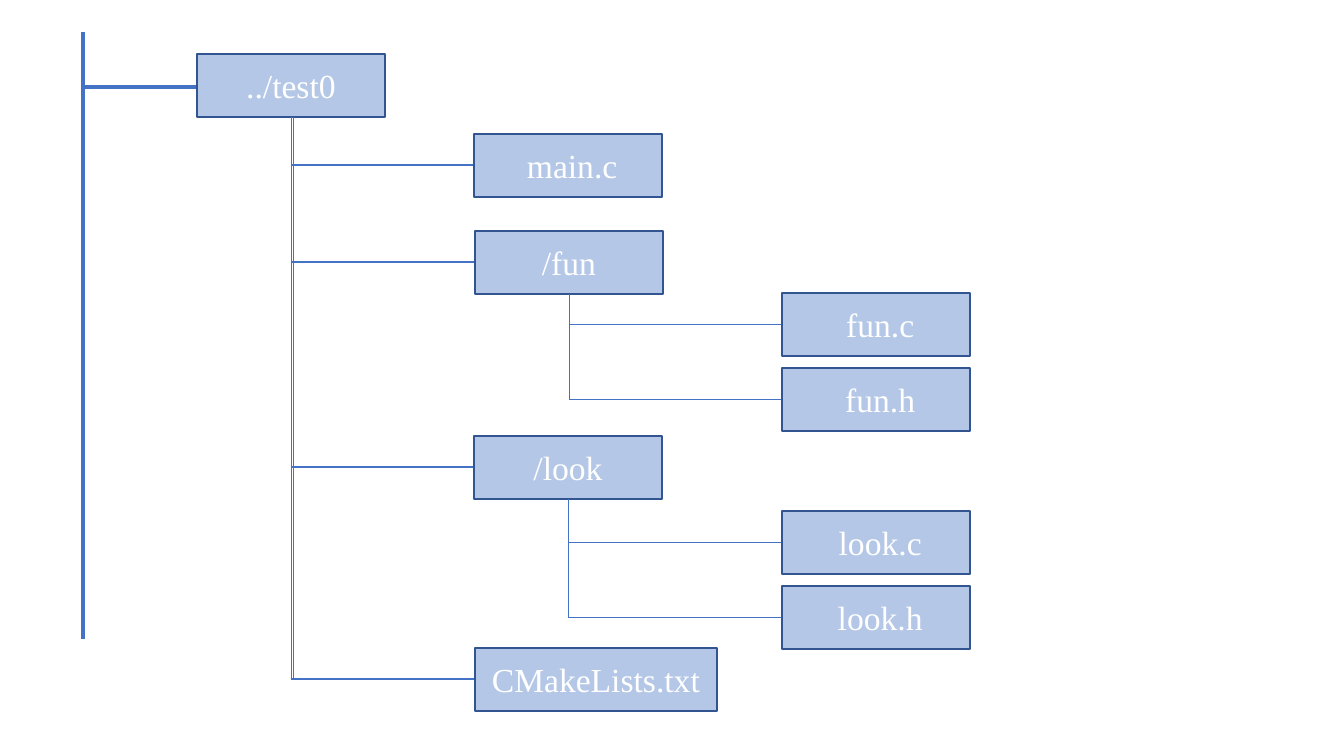
from lxml import etree
from pptx import Presentation
from pptx.dml.color import RGBColor
from pptx.enum.shapes import MSO_CONNECTOR, MSO_SHAPE
from pptx.enum.text import MSO_ANCHOR, PP_ALIGN
from pptx.oxml.ns import qn
from pptx.util import Pt

STRAIGHT = MSO_CONNECTOR.STRAIGHT
RECT = MSO_SHAPE.RECTANGLE
MIDDLE = MSO_ANCHOR.MIDDLE
CENTER = PP_ALIGN.CENTER

BLUE = RGBColor(0x44, 0x72, 0xC4)
PALE_BLUE = RGBColor(0xB4, 0xC7, 0xE7)
DARK_BLUE = RGBColor(0x32, 0x54, 0x91)
WHITE = RGBColor(0xFF, 0xFF, 0xFF)
FONT = "Times New Roman"

EMU_PER_PX = 914400 / 100.8
BOX_W, BOX_H = 188, 63
LEAF_X = 782
ROOT = ("../test0", 197, 54)

# Name, left, top, width and leaves (name, top) of each entry under the root
ENTRIES = [
    (" main.c", 474, 134, BOX_W, []),
    ("/fun", 475, 231, BOX_W, [(" fun.c", 293), (" fun.h", 368)]),
    ("/look", 474, 436, BOX_W, [(" look.c", 511), (" look.h", 586)]),
    ("CMakeLists.txt", 475, 648, 242, []),
]


def px(n):
    return round(n * EMU_PER_PX)


def add_line(slide, x1, y1, x2, y2, width=0.5):
    c = slide.shapes.add_connector(STRAIGHT, px(x1), px(y1), px(x2), px(y2))
    c.line.color.rgb = BLUE
    c.line.width = Pt(width)
    etree.SubElement(c._element.spPr, qn("a:effectLst"))


def write_text(tf, text, size=24, color=WHITE, align=CENTER):
    tf.vertical_anchor = MIDDLE
    tf.word_wrap = True
    p = tf.paragraphs[0]
    p.alignment = align
    r = p.add_run()
    r.text = text
    r.font.name = FONT
    r.font.size = Pt(size)
    r.font.color.rgb = color


def add_box(slide, text, x, y, w=BOX_W):
    sp = slide.shapes.add_shape(RECT, px(x), px(y), px(w), px(BOX_H))
    sp.shadow.inherit = False
    sp.fill.solid()
    sp.fill.fore_color.rgb = PALE_BLUE
    sp.line.color.rgb = DARK_BLUE
    sp.line.width = Pt(1)
    write_text(sp.text_frame, text)


def add_leaves(slide, x, y, leaves):
    stem_x = x + BOX_W // 2
    last_mid = leaves[-1][1] + BOX_H // 2
    add_line(slide, stem_x, y + BOX_H, stem_x, last_mid)
    for name, top in leaves:
        mid = top + BOX_H // 2
        add_line(slide, stem_x, mid, LEAF_X, mid)
        add_box(slide, name, LEAF_X, top)


def main():
    prs = Presentation()
    prs.slide_width, prs.slide_height = px(1344), px(756)
    slide = prs.slides.add_slide(prs.slide_layouts[6])

    # Root folder hanging from the outer bar
    name, x, y = ROOT
    bar_x, root_mid = 83, y + BOX_H // 2 + 2
    add_line(slide, bar_x, 32, bar_x, 639, width=3)
    add_line(slide, bar_x, root_mid, x, root_mid, width=3)
    add_box(slide, name, x, y)

    # Double trunk below the root
    trunk_x = x + BOX_W // 2
    for dx in (0, 2):
        add_line(slide, trunk_x + dx, y + BOX_H, trunk_x + dx, 678)

    # Entries with double branches, and their leaves
    for name, x, y, w, leaves in ENTRIES:
        mid = y + BOX_H // 2
        for dy in (-1, 0):
            add_line(slide, trunk_x, mid + dy, x, mid + dy)
        add_box(slide, name, x, y, w)
        if leaves:
            add_leaves(slide, x, y, leaves)

    prs.save("out.pptx")


if __name__ == "__main__":
    main()
